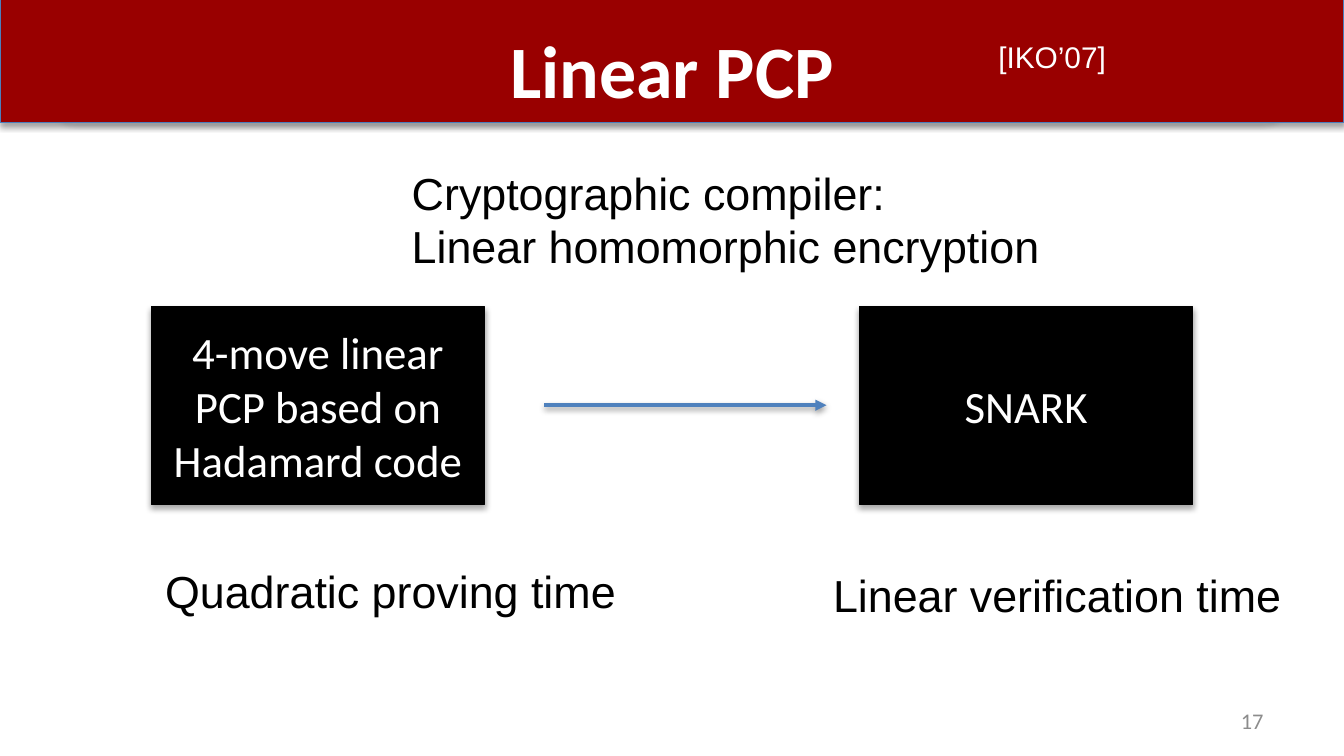
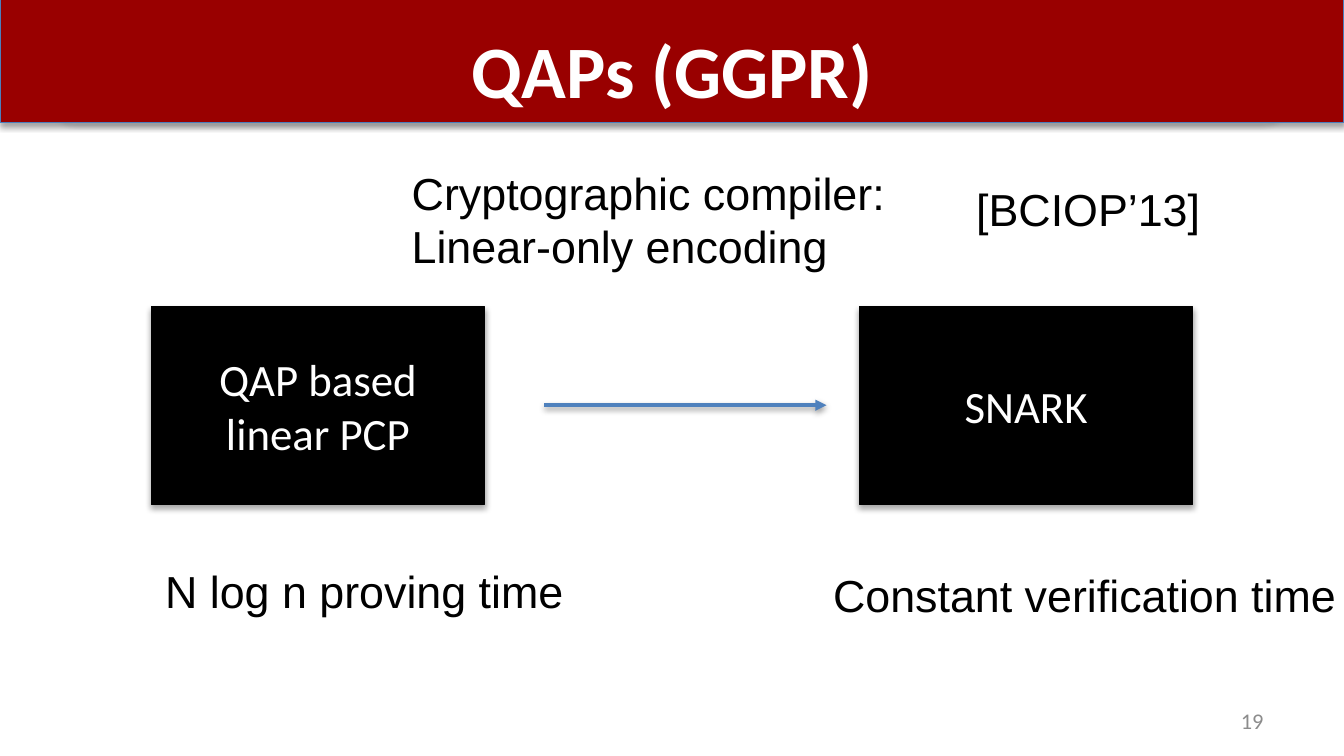
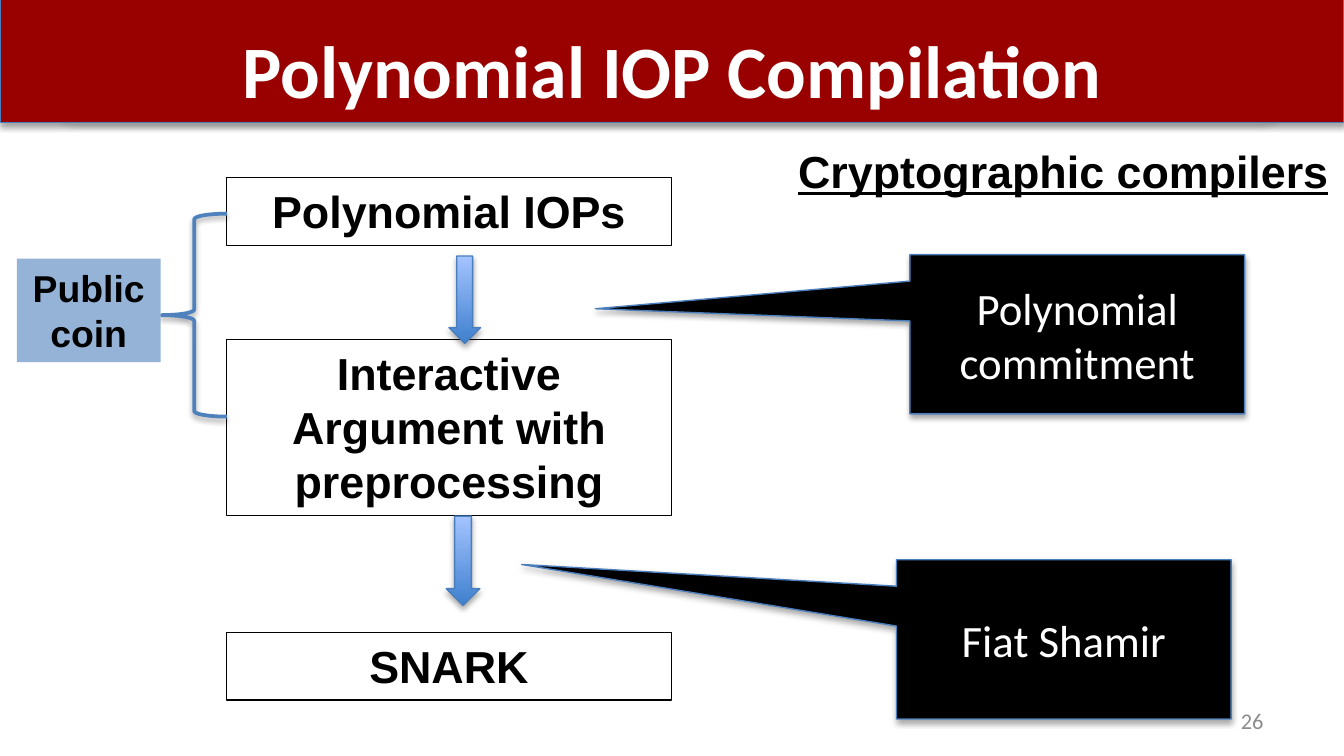
import dataclasses

import lxml.etree
import pptx
import pptx.dml.color
import pptx.enum.shapes
import pptx.enum.text
import pptx.oxml.ns
import pptx.util

PX = 4572
SHAPE = pptx.enum.shapes.MSO_SHAPE
ALIGN = pptx.enum.text.PP_ALIGN
ANCHOR = pptx.enum.text.MSO_ANCHOR
FIT = pptx.enum.text.MSO_AUTO_SIZE


@dataclasses.dataclass(frozen=True)
class Theme:
    band: str = "990000"
    band_edge: str = "7D60A0"
    edge: str = "4B7EBC"
    accent: str = "4F81BD"
    tag: str = "95B3D7"
    arrow_dark: str = "3F80CE"
    arrow_light: str = "A4C4FF"
    ink: str = "000000"
    paper: str = "FFFFFF"
    muted: str = "8C8C8C"
    heading_font: str = "Calibri"
    body_font: str = "Arial"
    title_size: float = 39.6
    body_size: int = 24
    tag_size: int = 20
    cite_size: int = 16
    page_size: int = 12


T = Theme()
rgb = pptx.dml.color.RGBColor.from_string


def add_block(s, kind, box, fill=None, line=None, width=0.75):
    place = [v * PX for v in box]
    if kind is None:
        sp = s.shapes.add_textbox(*place)
    else:
        sp = s.shapes.add_shape(kind, *place)
    if fill:
        sp.fill.solid()
        sp.fill.fore_color.rgb = rgb(fill)
    else:
        sp.fill.background()
    if line:
        sp.line.color.rgb = rgb(line)
        sp.line.width = pptx.util.Pt(width)
    else:
        sp.line.fill.background()
    return sp


def write(sp, lines, size=T.body_size, font=T.body_font, color=T.ink, bold=False,
          underline=False, align=ALIGN.LEFT, anchor=ANCHOR.TOP, wrap=True, fit=FIT.NONE):
    tf = sp.text_frame
    tf.word_wrap = wrap
    tf.auto_size = fit
    tf.vertical_anchor = anchor
    for i, line in enumerate(lines):
        p = tf.add_paragraph() if i else tf.paragraphs[0]
        p.alignment = align
        r = p.add_run()
        r.text = line
        r.font.size = pptx.util.Pt(size)
        r.font.name = font
        r.font.color.rgb = rgb(color)
        r.font.bold = bold
        r.font.underline = underline


prs = pptx.Presentation()
prs.slide_width = 2000 * PX
prs.slide_height = 1125 * PX

slides = []
for title, page in [("Linear PCP", "17"), ("QAPs (GGPR)", "19"), ("Polynomial IOP Compilation", "26")]:
    s = prs.slides.add_slide(prs.slide_layouts[5])
    sp = s.shapes.title
    sp.left, sp.top, sp.width, sp.height = [v * PX for v in (100, 27, 1800, 136)]
    write(sp, [title], T.title_size, T.heading_font, T.paper, bold=True, align=ALIGN.CENTER, wrap=False)
    sp = add_block(s, None, (1433, 1043, 467, 60))
    write(sp, [page], T.page_size, T.heading_font, T.muted, align=ALIGN.RIGHT, anchor=ANCHOR.MIDDLE)
    slides.append(s)

bands = [
    add_block(slides[0], SHAPE.ROUNDED_RECTANGLE, (80, 0, 1826, 178), line=T.band_edge),
    add_block(slides[0], SHAPE.RECTANGLE, (0, -2, 2000, 184), T.band, T.edge),
]
for i, band in enumerate(bands):
    band.element.nvSpPr.cNvPr.set("id", str(20 + i))
    prs.slide_master.shapes.element.insert(2 + i, band.element)

compilers = [
    ("4-move linear PCP based on Hadamard code", "Linear homomorphic encryption", 984,
     "Quadratic proving time", 718, "Linear verification time", 714,
     "[IKO’07]", (1466, 48, 202, 74), T.cite_size, T.paper),
    ("QAP based linear PCP", "Linear-only encoding", 752,
     "N log n proving time", 640, "Constant verification time", 820,
     "[BCIOP’13]", (1433, 260, 376, 100), T.body_size, T.ink),
]
for s, (source, method, method_w, proving, proving_w, verifying, verifying_w,
        cite, cite_box, cite_size, cite_color) in zip(slides, compilers):
    for x, text in [(225, source), (1279, "SNARK")]:
        sp = add_block(s, SHAPE.RECTANGLE, (x, 456, 496, 295), T.ink, T.ink)
        write(sp, [text], font=T.heading_font, color=T.paper, align=ALIGN.CENTER, anchor=ANCHOR.MIDDLE)

    arrow = s.shapes.add_connector(pptx.enum.shapes.MSO_CONNECTOR.STRAIGHT,
                                   810 * PX, 603 * PX, 1230 * PX, 603 * PX)
    arrow.line.color.rgb = rgb(T.accent)
    arrow.line.width = pptx.util.Pt(2)
    lxml.etree.SubElement(arrow.get_or_add_ln(), pptx.oxml.ns.qn("a:tailEnd"), type="triangle")

    for box, lines, size, color in [
        ((593, 236, method_w, 182), ["Cryptographic compiler:", method], T.body_size, T.ink),
        ((1220, 835, verifying_w, 100), [verifying], T.body_size, T.ink),
        ((226, 829, proving_w, 100), [proving], T.body_size, T.ink),
        (cite_box, [cite], cite_size, cite_color),
    ]:
        write(add_block(s, None, box), lines, size, color=color, wrap=False, fit=FIT.SHAPE_TO_FIT_TEXT)

s = slides[2]
for y, h, text in [
    (264, 101, "Polynomial IOPs"),
    (505, 262, "Interactive Argument with preprocessing"),
    (941, 101, "SNARK"),
]:
    sp = add_block(s, None, (337, y, 662, h), line=T.ink)
    write(sp, [text], bold=True, align=ALIGN.CENTER, fit=FIT.SHAPE_TO_FIT_TEXT)

for box in [(668, 381, 47, 130), (664, 768, 50, 133)]:
    sp = add_block(s, SHAPE.DOWN_ARROW, box, line=T.edge)
    sp.fill.gradient()
    sp.fill.gradient_angle = 90
    for stop, color in zip(sp.fill.gradient_stops, (T.arrow_dark, T.arrow_light)):
        stop.color.rgb = rgb(color)

for x, y, tip, text in [
    (1334, 833, (-1.62, -0.47), "Fiat Shamir"),
    (1354, 379, (-1.44, -0.16), "Polynomial commitment"),
]:
    sp = add_block(s, SHAPE.RECTANGULAR_CALLOUT, (x, y, 498, 237), T.ink, T.edge)
    sp.adjustments[0], sp.adjustments[1] = tip
    write(sp, [text], font=T.heading_font, color=T.paper, align=ALIGN.CENTER, anchor=ANCHOR.MIDDLE)

sp = add_block(s, None, (1168, 204, 832, 100))
write(sp, ["Cryptographic compilers"], bold=True, underline=True, fit=FIT.SHAPE_TO_FIT_TEXT)

add_block(s, SHAPE.LEFT_BRACE, (240, 318, 98, 302), line=T.accent, width=2)
sp = add_block(s, None, (25, 385, 214, 154), T.tag)
write(sp, ["Public coin"], T.tag_size, bold=True, align=ALIGN.CENTER, fit=FIT.SHAPE_TO_FIT_TEXT)

prs.save("out.pptx")
